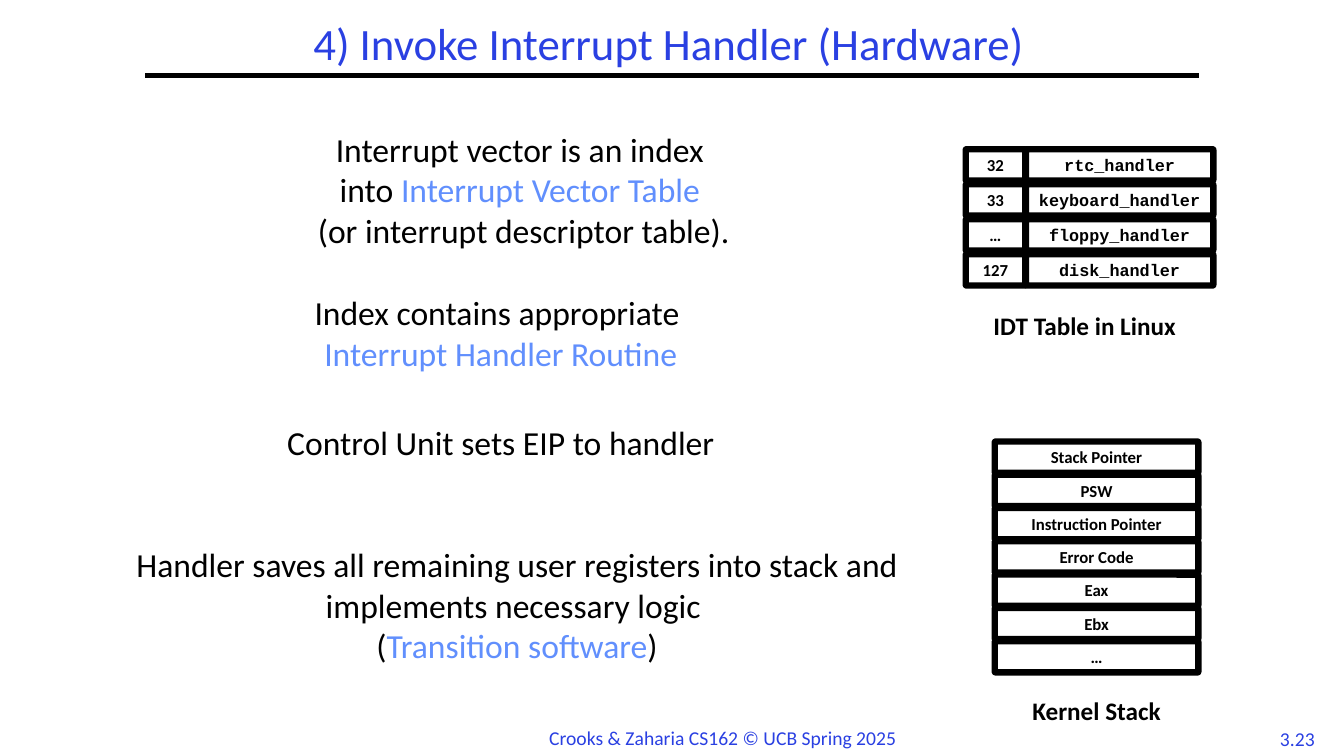
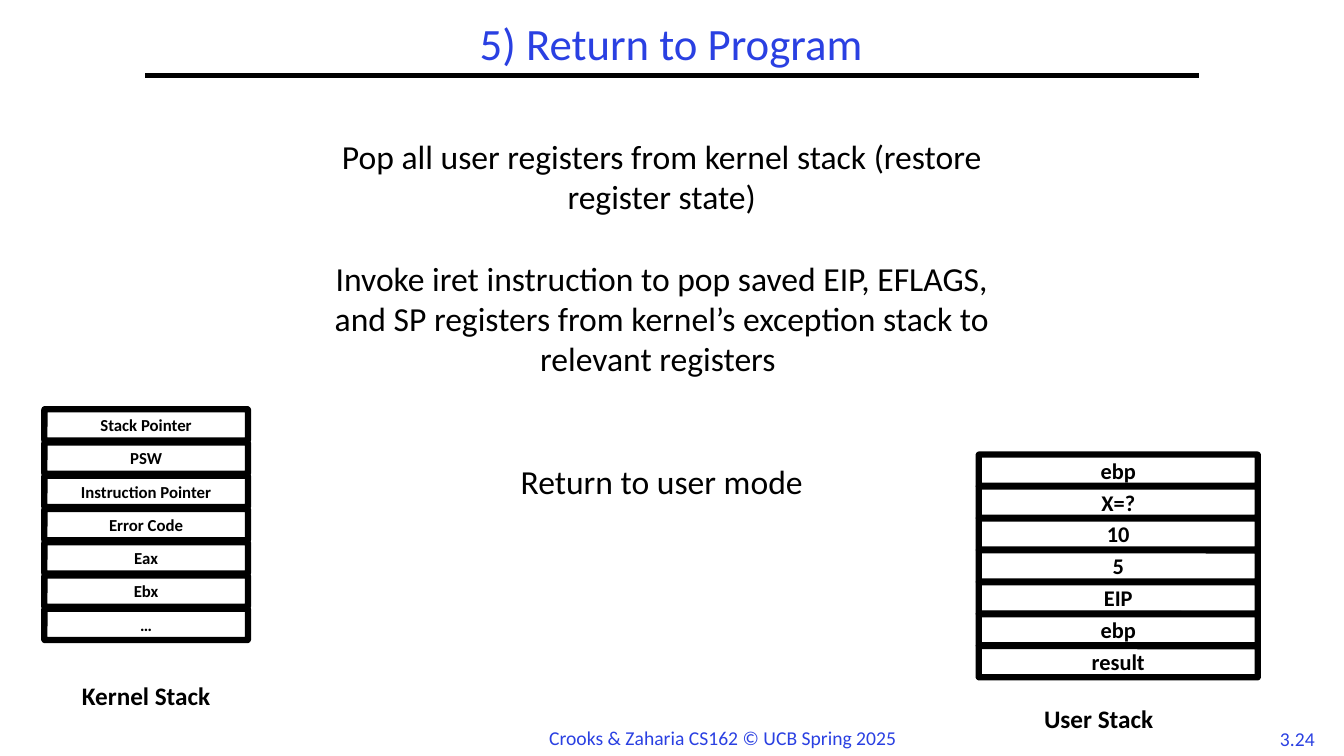
import pptx
import pptx.dml.color
import pptx.enum.shapes
import pptx.enum.text
import pptx.oxml
import pptx.oxml.ns
import pptx.util

Pt = pptx.util.Pt
ALIGN = pptx.enum.text.PP_ALIGN
ANCHOR = pptx.enum.text.MSO_ANCHOR

BLACK, WHITE, BLUE, ACCENT = "000000", "FFFFFF", "2A40E2", "618FFD"
TITLE = {"size": Pt(32)}
FOOTER = {"size": Pt(14)}
BODY = {"size": Pt(24)}
CAPTION = {"size": Pt(18), "bold": True}
CELL = {"size": Pt(12), "bold": True}
CODE_CELL = CELL | {"name": "Courier New"}
LARGE_CELL = CELL | {"size": Pt(16)}

CELL_HEIGHT = 22.3
BODY_LINE = 29.3
KERNEL_STACK = ["Stack Pointer", "PSW", "Instruction Pointer", "Error Code", "Eax", "Ebx", "…"]
USER_STACK = ["ebp", "X=?", "10", "5", "EIP", "ebp", "result"]


def color(value):
    return pptx.dml.color.RGBColor.from_string(value)


def points(*lengths):
    return [Pt(length) for length in lengths]


def write(frame, paras, style, ink=BLACK, align=ALIGN.CENTER, gaps=()):
    """Fill a frame; each paragraph lists spans, every second one highlighted.

    gaps gives the space before each paragraph after the first.
    """
    for index, spans in enumerate(paras):
        para = frame.add_paragraph() if index else frame.paragraphs[0]
        para.alignment = align
        if index and gaps:
            para.space_before = Pt(gaps[index - 1])
        for position, text in enumerate(spans):
            span = para.add_run()
            span.text = text
            for name, value in ({"name": "Calibri"} | style).items():
                setattr(span.font, name, value)
            span.font.color.rgb = color(ACCENT if position % 2 else ink)


def add_text(page, box, paras, style, wrap=True, **options):
    frame = page.shapes.add_textbox(*points(*box)).text_frame
    frame.word_wrap = wrap
    write(frame, paras, style, **options)


def add_rule(page, left, right, top):
    rule = page.shapes.add_connector(
        pptx.enum.shapes.MSO_CONNECTOR.STRAIGHT, *points(left, top, right, top))
    rule.line.color.rgb = color(BLACK)
    rule.line.width = Pt(3)
    pptx.oxml.ns.qn("a:effectLst")
    rule._element.spPr.append(pptx.oxml.parse_xml(
        f"<a:effectLst {pptx.oxml.ns.nsdecls('a')}/>"))


def add_page(deck, title, number, title_left, title_width):
    """Add a slide with its title, rule and footer."""
    page = deck.slides.add_slide(deck.slide_layouts[5])
    heading = page.shapes.title
    heading.left, heading.top, heading.width, heading.height = points(
        title_left, 12.2, title_width, 41.8)
    frame = heading.text_frame
    frame.auto_size = pptx.enum.text.MSO_AUTO_SIZE.NONE
    frame.vertical_anchor = ANCHOR.MIDDLE
    write(frame, [[title]], TITLE, BLUE)
    frame.paragraphs[0].line_spacing = 0.9
    add_rule(page, 103.7, 856.1, 54)
    add_text(page, (385.2, 514.8, 264.2, 24.5), [["Crooks & Zaharia CS162 © UCB Spring 2025"]],
             FOOTER, wrap=False, ink=BLUE, align=ALIGN.LEFT)
    add_text(page, (905.8, 515.5, 41.8, 23.8), [[number]], FOOTER, wrap=False, ink=BLUE)
    return page


def add_cells(page, left, top, width, pitch, labels, style=CELL):
    """Stack one outlined cell per label, downwards at an equal pitch."""
    for row, label in enumerate(labels):
        cell = page.shapes.add_shape(
            pptx.enum.shapes.MSO_SHAPE.ROUNDED_RECTANGLE,
            *points(left, top + row * pitch, width, CELL_HEIGHT))
        cell.adjustments[0] = 0.02
        cell.shadow.inherit = False
        cell.fill.solid()
        cell.fill.fore_color.rgb = color(WHITE)
        cell.line.color.rgb = color(BLACK)
        cell.line.width = Pt(4.5)
        cell.text_frame.vertical_anchor = ANCHOR.MIDDLE
        write(cell.text_frame, [[label]], style)


def add_caption(page, center, top, text):
    width = 180
    add_text(page, (center - width / 2, top, width, 29), [[text]], CAPTION)


def add_kernel_stack(page, left, top, caption_drop):
    width = 145.4
    add_cells(page, left, top, width, 23.76, KERNEL_STACK)
    add_caption(page, left + width / 2, top + caption_drop, "Kernel Stack")


def add_user_stack(page, left, top):
    add_cells(page, left, top, 199.4, 22.8, USER_STACK, LARGE_CELL)
    add_caption(page, left + 85.7, top + 174.2, "User Stack")


def add_interrupt_table(page, left, top):
    pitch = 25
    add_cells(page, left, top, 42.5, pitch, ["32", "33", "…", "127"])
    add_cells(page, left + 43, top, 133.9, pitch,
              ["rtc_handler", "keyboard_handler", "floppy_handler", "disk_handler"], CODE_CELL)
    add_caption(page, left + 85, top + 111.6, "IDT Table in Linux")


def build_handler_page(deck):
    page = add_page(deck, "4) Invoke Interrupt Handler (Hardware)", "3.23", 0, 955.4)
    steps = [
        ((35.3, 88.6, 677.5, 94.3), [["Interrupt vector is an index "],
                                     ["into ", "Interrupt Vector Table "],
                                     ["(or interrupt descriptor table)."]]),
        ((103, 205.2, 504, 65.5), [["Index contains appropriate"],
                                   [" ", "Interrupt Handler Routine"]]),
        ((41.8, 298.1, 637.2, 36), [["Control Unit sets EIP to handler "]]),
        ((64.8, 385.2, 609.1, 123.8), [["Handler saves all remaining user registers into stack "
                                        "and implements necessary logic "],
                                       ["(", "Transition software", ")"]]),
    ]
    for box, paras in steps:
        add_text(page, box, paras, BODY)
    add_interrupt_table(page, 689.8, 106.6)
    add_kernel_stack(page, 710.6, 315.4, 177.8)


def build_return_page(deck):
    page = add_page(deck, "5) Return to Program", "3.24", 103.7, 751.7)
    add_text(page, (213.1, 93.6, 519.1, 298.1), [
        ["Pop all user registers from kernel stack (restore register state)"],
        ["Invoke iret instruction to pop saved EIP, EFLAGS, and SP registers "
         "from kernel’s exception stack to relevant registers "],
        ["Return to user mode"],
    ], BODY, gaps=(BODY_LINE, 2 * BODY_LINE))
    add_kernel_stack(page, 31.7, 292.3, 190.1)
    add_user_stack(page, 699.1, 324.7)


def main():
    deck = pptx.Presentation()
    deck.slide_width, deck.slide_height = points(960, 540)
    build_handler_page(deck)
    build_return_page(deck)
    deck.save("out.pptx")


if __name__ == "__main__":
    main()
